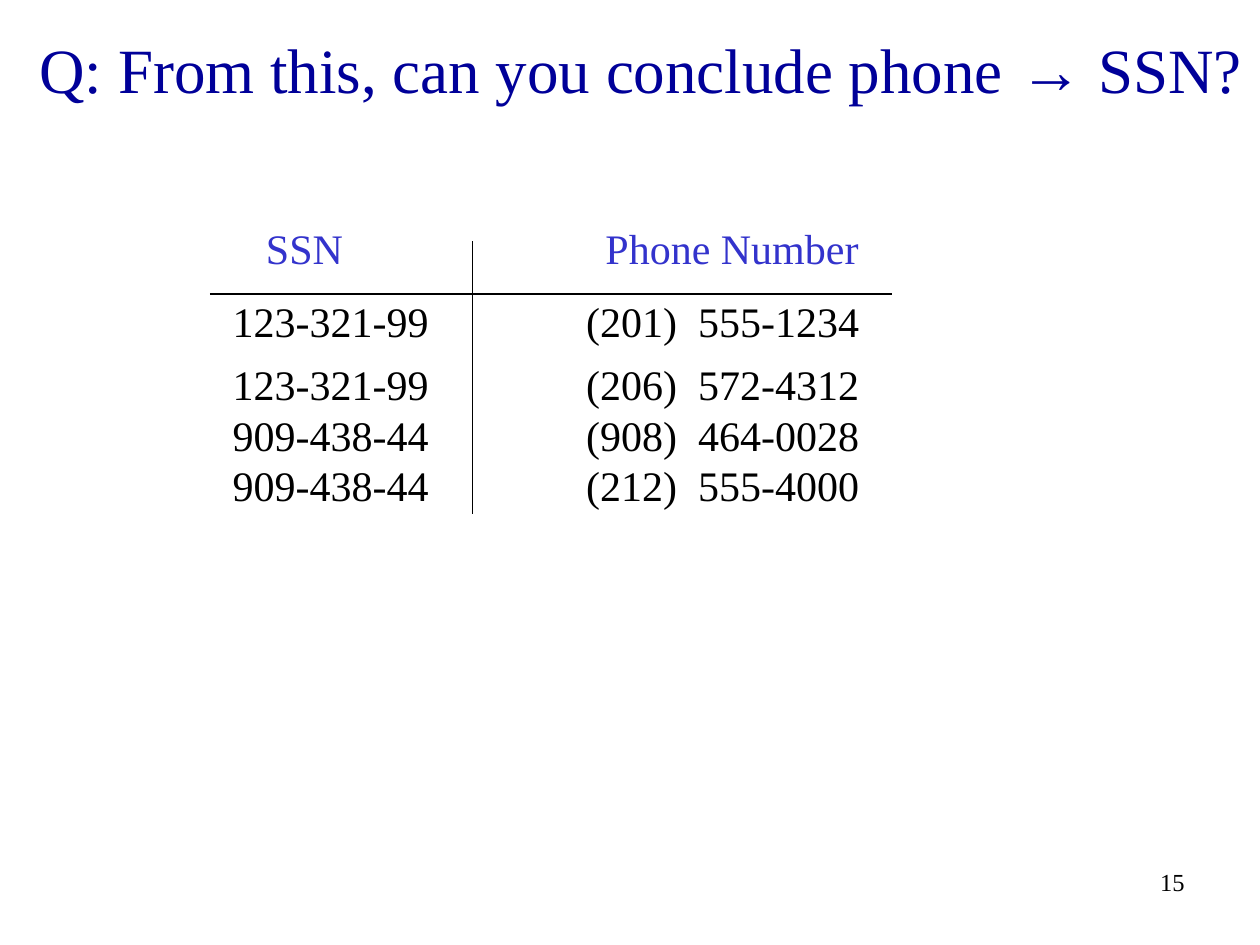
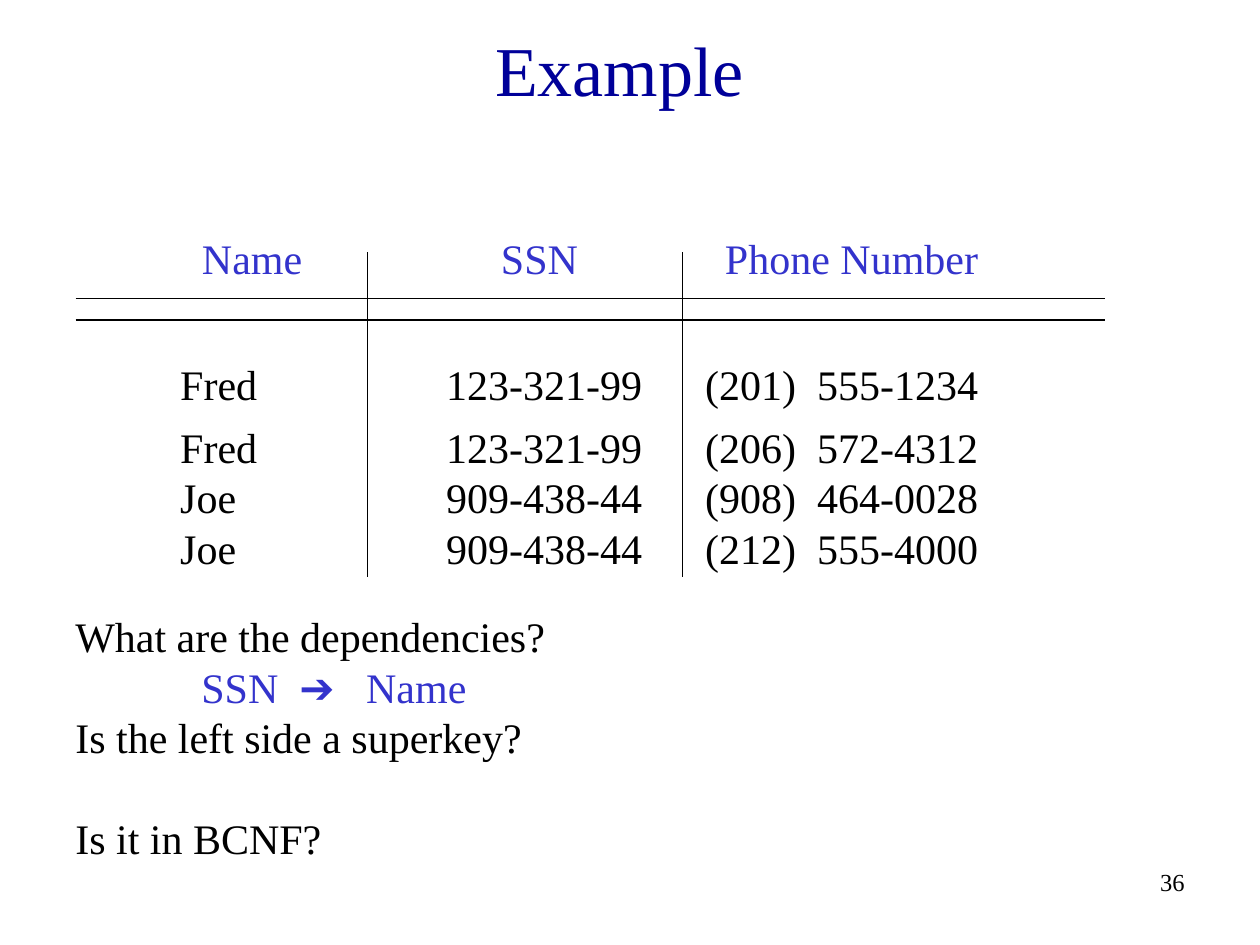
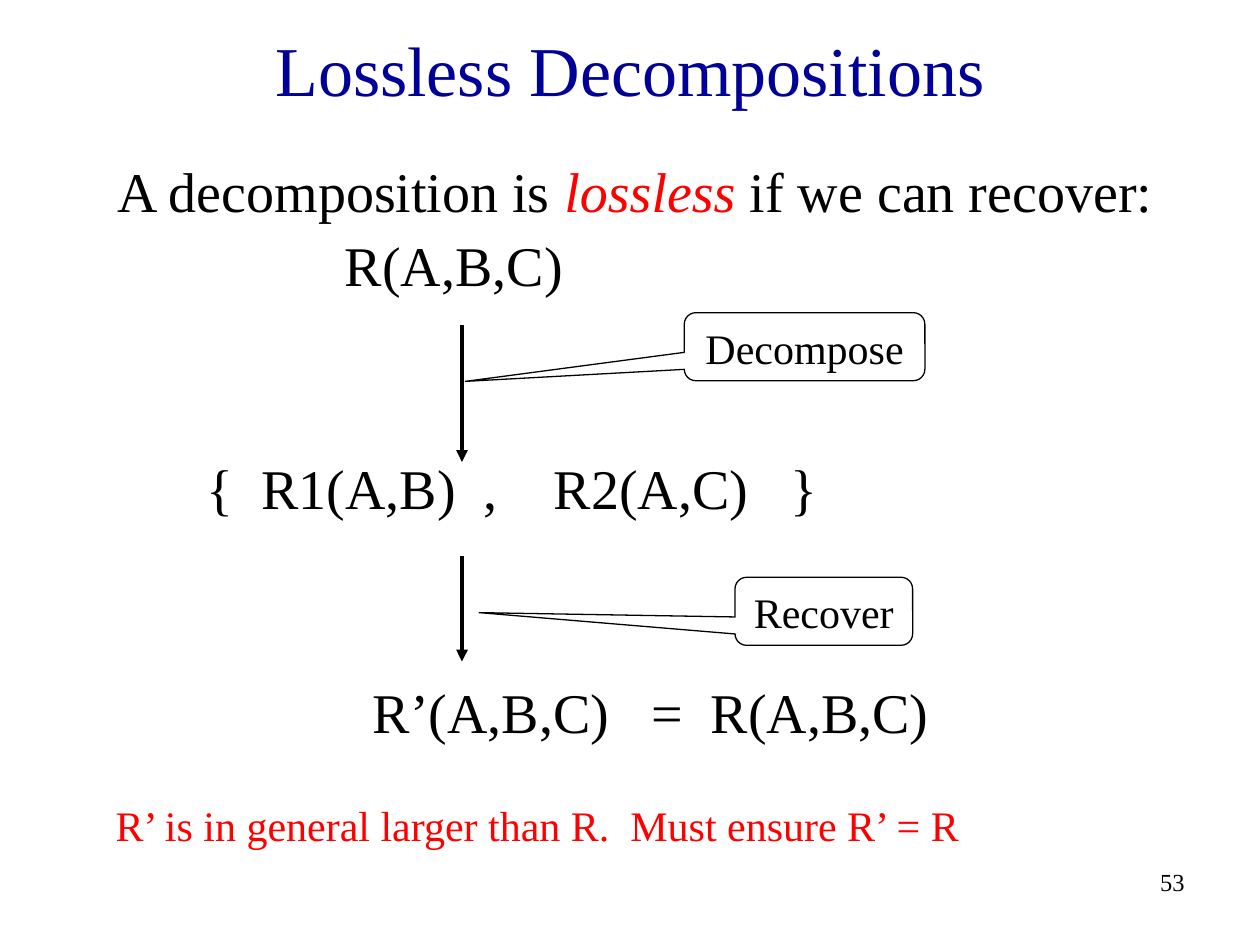
from lxml import etree
from pptx import Presentation
from pptx.dml.color import RGBColor
from pptx.enum import shapes, text
from pptx.oxml import ns
from pptx.util import Pt

SERIF, SYMBOL = "Times New Roman", "Arial"
BLACK, WHITE, NAVY, BLUE, RED = "000000", "FFFFFF", "000099", "3333CC", "FF0000"
LEFT, CENTER, RIGHT = text.PP_ALIGN.LEFT, text.PP_ALIGN.CENTER, text.PP_ALIGN.RIGHT
LINE_HEIGHT = 28.8
NUMBER_AREA = (534, 492, 150, 36)

# A span is (text, changes to the style of its paragraph).
PHONE_PAGE = {
    "number": "15",
    "title": [("Q: From this, can you conclude phone ", {}), ("→", {"font": SYMBOL}), (" SSN?", {})],
    "title_area": (12, 12, 708, 54),
    "title_size": 36,
    "rows": [
        ("SSN", "Phone Number"),
        ("123-321-99", "(201)  555-1234"),
        ("123-321-99", "(206)  572-4312"),
        ("909-438-44", "(908)  464-0028"),
        ("909-438-44", "(212)  555-4000"),
    ],
    "top": 129.6,
    "header_height": 42,
    "edges": (120, 270, 510),
    "header_lefts": (152, 346),
    "data_lefts": (133, 335),
    "rules": (168,),
    "divider": (138, 294),
}
EXAMPLE_PAGE = {
    "number": "36",
    "title": [("Example", {})],
    "title_area": (12, 12, 684, 54),
    "title_size": 40,
    "rows": [
        ("Name", "SSN", "Phone Number"),
        ("Fred", "123-321-99", "(201)  555-1234"),
        ("Fred", "123-321-99", "(206)  572-4312"),
        ("Joe", "909-438-44", "(908)  464-0028"),
        ("Joe", "909-438-44", "(212)  555-4000"),
    ],
    "top": 135.4,
    "header_height": 72,
    "edges": (43.2, 210, 390, 631.5),
    "header_lefts": (115.4, 286.3, 414.3),
    "data_lefts": (103, 255, 403),
    "rules": (170.6, 182.9),
    "divider": (144, 330),
}
LOSSLESS_PAGE = {
    "number": "53",
    "title": [("Lossless Decompositions", {})],
    "title_area": (54, 18, 612, 42),
    "title_size": 40,
}

# Paragraphs: spans, left indent, space before.
QUESTIONS = [
    ([("What are the dependencies?", {})], 0, 0),
    ([("SSN  ", {"color": BLUE}), ("➔", {"color": BLUE, "font": SYMBOL}),
      ("   Name", {"color": BLUE})], 72, 0),
    ([("Is the left side a superkey?", {})], 0, 0),
    ([("Is it in BCNF?", {})], 0, LINE_HEIGHT),
]
STEP_GAP = 93
DECOMPOSITION = [
    ([("A decomposition is ", {}), ("lossless", {"color": RED, "italic": True}),
      (" if we can recover:", {})], 6, 8),
    ([("R(A,B,C)", {})], 136, 8),
    ([("{  R1(A,B)  ,    R2(A,C)   }", {})], 57, STEP_GAP),
    ([("R’(A,B,C)   =  R(A,B,C)", {})], 152, STEP_GAP),
]
WARNING = "R’ is in general larger than R.  Must ensure R’ = R"
ARROW_X = 264
ARROWS = [(186, 264), (318, 378)]
CALLOUTS = [
    ("Decompose", (391, 178.7, 137.5, 38.9), (-1.41, 0.51, 0.17)),
    ("Recover", (420, 329.9, 101.5, 38.9), (-1.94, 0.02, 0.17)),
]


def rgb(color):
    return RGBColor.from_string(color)


def points(values):
    return [Pt(value) for value in values]


def write(para, spans, size, color=BLACK, align=LEFT):
    para.alignment = align
    for words, changes in spans:
        span = para.add_run()
        span.text = words
        span.font.size = Pt(size)
        span.font.name = changes.get("font", SERIF)
        span.font.color.rgb = rgb(changes.get("color", color))
        span.font.italic = changes.get("italic", False)


def add_text(page, area, paragraphs, size, color=BLACK, align=LEFT,
             anchor=text.MSO_ANCHOR.TOP, spacing=None):
    frame = page.shapes.add_textbox(*points(area)).text_frame
    frame.word_wrap = True
    frame.vertical_anchor = anchor
    for index, (spans, indent, before) in enumerate(paragraphs):
        para = frame.add_paragraph() if index else frame.paragraphs[0]
        write(para, spans, size, color, align)
        para.space_before = Pt(before)
        if spacing:
            para.line_spacing = spacing
        if indent:
            para._p.get_or_add_pPr().set("marL", str(Pt(indent)))


def add_line(page, start, end, width=0.75, arrow=False):
    line = page.shapes.add_connector(shapes.MSO_CONNECTOR.STRAIGHT, *points(start + end))
    line.line.color.rgb = rgb(BLACK)
    line.line.width = Pt(width)
    if arrow:
        etree.SubElement(line.line._get_or_add_ln(), ns.qn("a:tailEnd"), type="triangle")
    etree.SubElement(line._element.spPr, ns.qn("a:effectLst"))


def add_callout(page, words, area, adjustments):
    callout = page.shapes.add_shape(shapes.MSO_SHAPE.ROUNDED_RECTANGULAR_CALLOUT, *points(area))
    callout.shadow.inherit = False
    for index, value in enumerate(adjustments):
        callout.adjustments[index] = value
    callout.fill.solid()
    callout.fill.fore_color.rgb = rgb(WHITE)
    callout.line.color.rgb = rgb(BLACK)
    callout.line.width = Pt(0.75)
    callout.text_frame.vertical_anchor = text.MSO_ANCHOR.TOP
    write(callout.text_frame.paragraphs[0], [(words, {})], 24, align=CENTER)


def add_relation(page, content):
    """Add a plain table, with its rules and column dividers as lines."""
    rows, edges = content["rows"], content["edges"]
    heights = [content["header_height"], 36] + [LINE_HEIGHT] * (len(rows) - 2)
    area = (edges[0], content["top"], edges[-1] - edges[0], sum(heights))
    table = page.shapes.add_table(len(rows), len(edges) - 1, *points(area)).table
    table.first_row = table.horz_banding = False
    for column, left, right in zip(table.columns, edges, edges[1:]):
        column.width = Pt(right - left)
    for r, (values, height) in enumerate(zip(rows, heights)):
        table.rows[r].height = Pt(height)
        lefts = content["data_lefts" if r else "header_lefts"]
        for c, value in enumerate(values):
            cell = table.cell(r, c)
            cell.fill.background()
            cell.margin_left = Pt(lefts[c] - edges[c])
            cell.margin_right = cell.margin_top = cell.margin_bottom = 0
            write(cell.text_frame.paragraphs[0], [(value, {})], 24, BLACK if r else BLUE)
    for y in content["rules"]:
        add_line(page, (edges[0], y), (edges[-1], y))
    top, bottom = content["divider"]
    for x in edges[1:-1]:
        add_line(page, (x, top), (x, bottom))


def add_page(deck, content):
    page = deck.slides.add_slide(deck.slide_layouts[6])
    add_text(page, NUMBER_AREA, [([(content["number"], {})], 0, 0)], 14, align=RIGHT)
    add_text(page, content["title_area"], [(content["title"], 0, 0)], content["title_size"],
             NAVY, CENTER, text.MSO_ANCHOR.MIDDLE)
    return page


def main():
    deck = Presentation()
    deck.slide_width, deck.slide_height = Pt(720), Pt(540)

    add_relation(add_page(deck, PHONE_PAGE), PHONE_PAGE)

    page = add_page(deck, EXAMPLE_PAGE)
    add_relation(page, EXAMPLE_PAGE)
    add_text(page, (36, 345.6, 283, 151.2), QUESTIONS, 24)

    page = add_page(deck, LOSSLESS_PAGE)
    add_text(page, (54, 90, 630, 360), DECOMPOSITION, 32, spacing=0.9)
    for top, bottom in ARROWS:
        add_line(page, (ARROW_X, top), (ARROW_X, bottom), 2.25, arrow=True)
    add_text(page, (59, 453.6, 510, 36), [([(WARNING, {})], 0, 0)], 24, RED)
    for callout in CALLOUTS:
        add_callout(page, *callout)

    deck.save("out.pptx")


if __name__ == "__main__":
    main()
